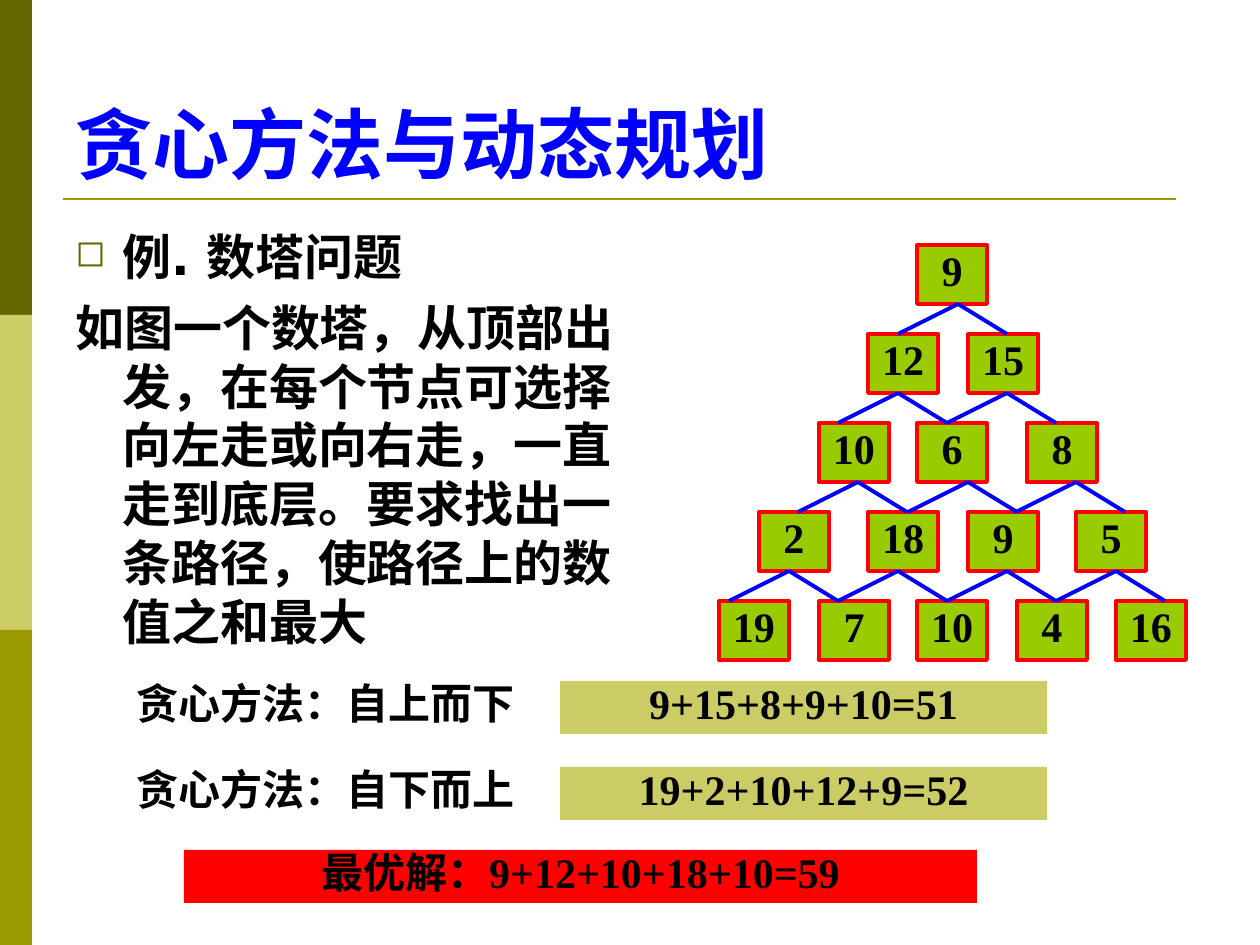
from lxml.etree import SubElement
from pptx import Presentation
from pptx.dml.color import RGBColor
from pptx.enum.shapes import MSO_CONNECTOR, MSO_SHAPE
from pptx.enum.text import MSO_ANCHOR, MSO_AUTO_SIZE, PP_ALIGN
from pptx.oxml.ns import qn
from pptx.util import Pt

EMU_PER_PX = 914400 / 126
SERIF, SANS = "Times New Roman", "DejaVu Sans"
OLIVE, KHAKI, MOSS = "666600", "CCCC66", "999900"
RED, BLUE, GREEN, BLACK = "FF0000", "0000FF", "99CC00", "000000"


def px(length):
    return round(length * EMU_PER_PX)


def color(value):
    return RGBColor.from_string(value)


class SlideBuilder:
    def __init__(self, presentation):
        self.slide = presentation.slides.add_slide(presentation.slide_layouts[5])

    def format_paragraph(self, paragraph, size=24, font=SERIF, ink=BLACK,
                         align=PP_ALIGN.LEFT, spacing=None):
        paragraph.alignment = align
        paragraph.line_spacing = spacing
        for run in paragraph.runs:
            run.font.size = Pt(size)
            run.font.name = font
            run.font.bold = True
            run.font.color.rgb = color(ink)

    def title(self, text, left, top, width, height):
        shape = self.slide.shapes.title
        shape.left, shape.top = px(left), px(top)
        shape.width, shape.height = px(width), px(height)
        frame = shape.text_frame
        frame.text = text
        frame.auto_size = MSO_AUTO_SIZE.NONE
        frame.vertical_anchor = MSO_ANCHOR.BOTTOM
        self.format_paragraph(frame.paragraphs[0], size=44, ink=BLUE)

    def box(self, left, top, width, height, fill, text="", line=None,
            anchor=MSO_ANCHOR.TOP, wrap=True):
        shape = self.slide.shapes.add_shape(
            MSO_SHAPE.RECTANGLE, px(left), px(top), px(width), px(height))
        shape.shadow.inherit = False
        shape.fill.solid()
        shape.fill.fore_color.rgb = color(fill)
        if line:
            shape.line.color.rgb = color(line)
            shape.line.width = Pt(2.25)
        else:
            shape.line.fill.background()
        if text:
            frame = shape.text_frame
            frame.text = text
            frame.word_wrap = wrap
            frame.vertical_anchor = anchor
            self.format_paragraph(frame.paragraphs[0], align=PP_ALIGN.CENTER,
                                  spacing=0.8)

    def text_box(self, left, top, width, height):
        shape = self.slide.shapes.add_textbox(
            px(left), px(top), px(width), px(height))
        shape.text_frame.word_wrap = True
        return shape.text_frame

    def label(self, text, left, top, width, height):
        frame = self.text_box(left, top, width, height)
        frame.text = text
        self.format_paragraph(frame.paragraphs[0], spacing=0.8)

    def body(self, heading, detail, left, top, width, height):
        frame = self.text_box(left, top, width, height)
        frame.text = f"{heading}\n{detail}"
        for paragraph in frame.paragraphs:
            properties = paragraph._p.get_or_add_pPr()
            properties.set("marL", str(px(47)))
            properties.set("indent", str(px(-47)))
            if paragraph.text == heading:
                bullet_color = SubElement(properties, qn("a:buClr"))
                SubElement(bullet_color, qn("a:srgbClr"), val=OLIVE)
                SubElement(properties, qn("a:buSzPct"), val="75000")
                SubElement(properties, qn("a:buChar"), char="◻")
            else:
                SubElement(properties, qn("a:buNone"))
                paragraph.space_before = Pt(7)
            self.format_paragraph(paragraph, size=28, font=SANS)

    def line(self, start_x, start_y, end_x, end_y, ink, width=2.25):
        connector = self.slide.shapes.add_connector(
            MSO_CONNECTOR.STRAIGHT, px(start_x), px(start_y), px(end_x), px(end_y))
        connector.line.color.rgb = color(ink)
        connector.line.width = Pt(width)
        SubElement(connector._element.spPr, qn("a:effectLst"))


def main():
    presentation = Presentation()
    presentation.slide_width, presentation.slide_height = px(1260), px(945)
    builder = SlideBuilder(presentation)

    # Side band and title rule
    for index, fill in enumerate((OLIVE, KHAKI, MOSS)):
        builder.box(0, 315 * index, 32, 315, fill)
    builder.line(63, 199, 1176, 199, MOSS, width=1.5)

    # Title and problem statement
    builder.title("贪心方法与动态规划", 63, 38, 1134, 157)
    builder.body("例. 数塔问题",
                 "如图一个数塔，从顶部出发，在每个节点可选择向左走或向右走，"
                 "一直走到底层。要求找出一条路径，使路径上的数值之和最大",
                 63, 220, 577, 450)

    # Number tower: (left, value) of each node, row by row
    tower = [
        [(917, 9)],
        [(868, 12), (968, 15)],
        [(819, 10), (917, 6), (1027, 8)],
        [(759, 2), (868, 18), (968, 9), (1076, 5)],
        [(719, 19), (819, 7), (917, 10), (1017, 4), (1116, 16)],
    ]
    tower_top, row_pitch, node_width, node_height = 245, 89, 70, 59
    for row, nodes in enumerate(tower):
        for left, value in nodes:
            builder.box(left, tower_top + row * row_pitch, node_width, node_height,
                        GREEN, str(value), RED, MSO_ANCHOR.MIDDLE, wrap=False)

    # Branches: each fork runs down to the left and to the right
    forks = [[958], [898, 1007], [858, 968, 1076], [789, 898, 1007, 1116]]
    for row, row_forks in enumerate(forks):
        bottom = tower_top + row * row_pitch + node_height
        for fork in row_forks:
            for offset in (-60, 49):
                builder.line(fork, bottom, fork + offset,
                             tower_top + (row + 1) * row_pitch, BLUE)

    # Greedy results and the best solution
    results = [("贪心方法：自上而下", "9+15+8+9+10=51"),
               ("贪心方法：自下而上", "19+2+10+12+9=52")]
    for index, (method, total) in enumerate(results):
        top = 681 + 86 * index
        builder.label(method, 124, top, 407, 53)
        builder.box(560, top, 487, 53, KHAKI, total)
    builder.box(184, 850, 793, 53, RED, "最优解：9+12+10+18+10=59")

    presentation.save("out.pptx")


if __name__ == "__main__":
    main()
